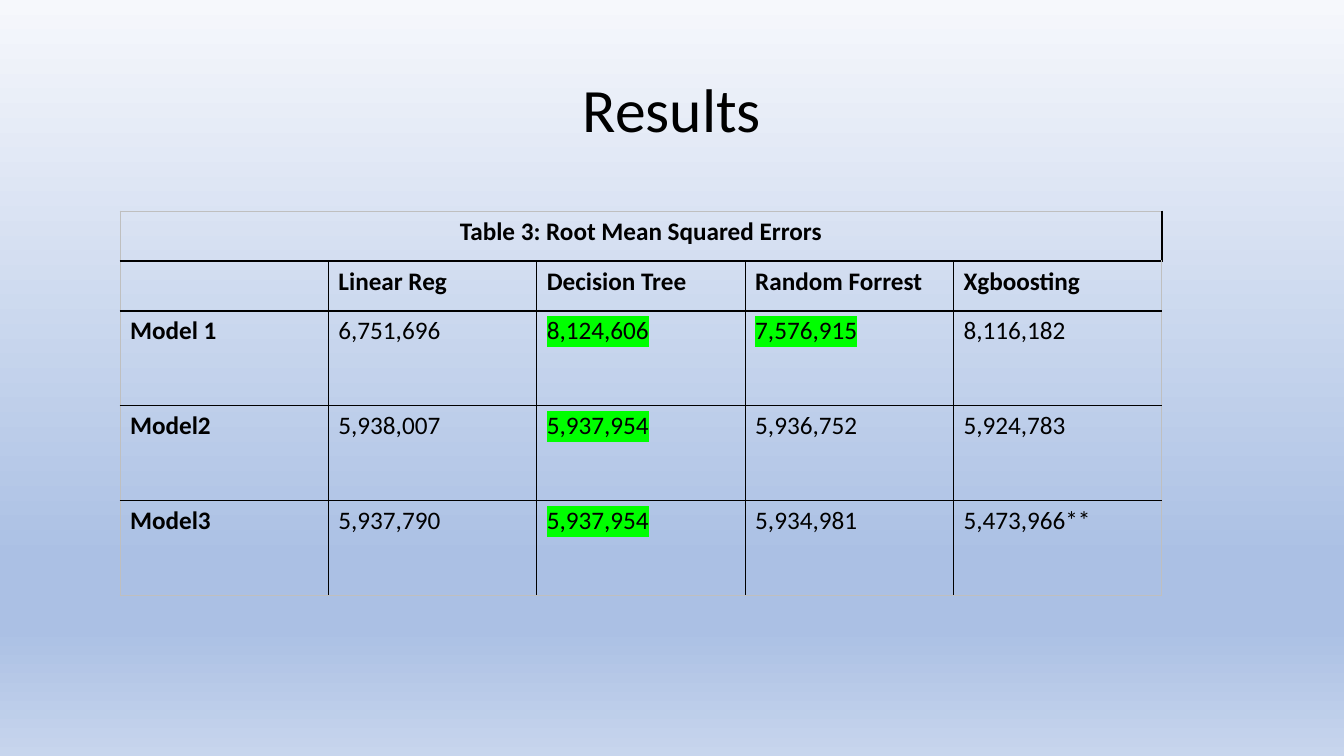
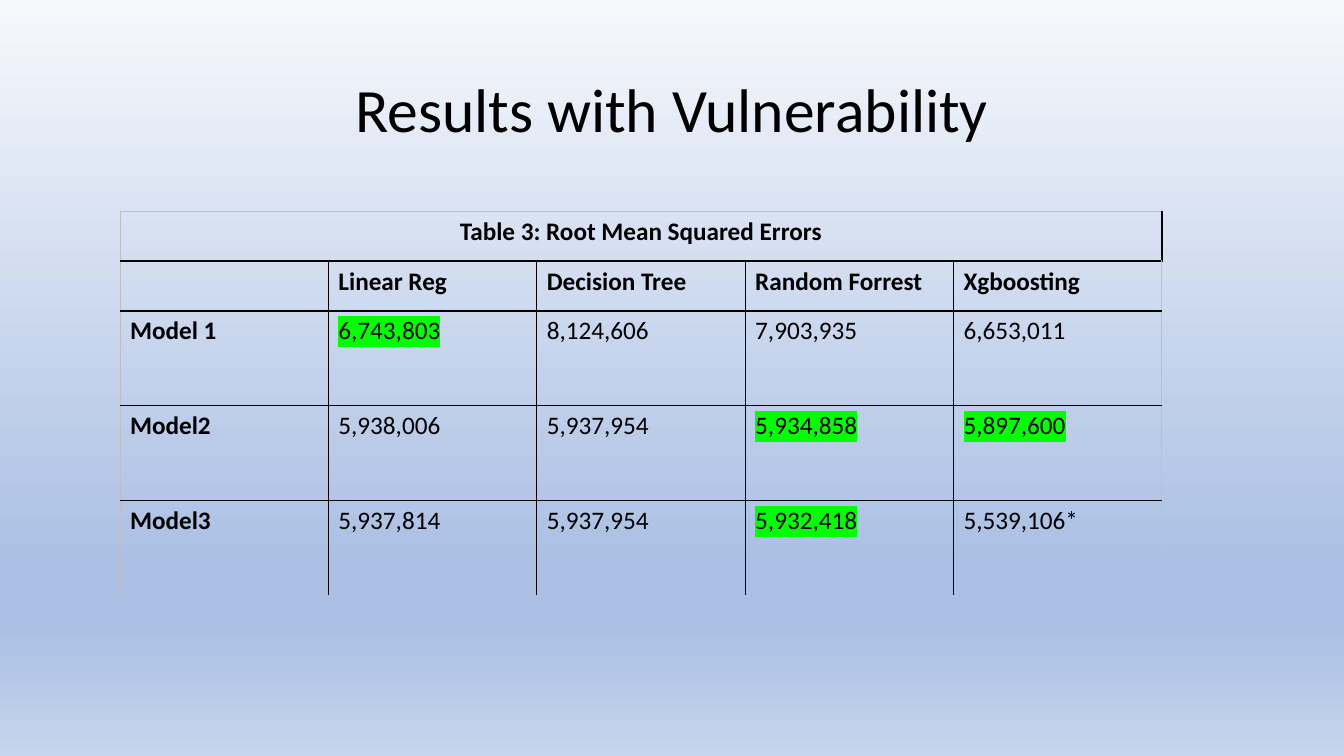
"""Build two slides that compare model errors in highlighted tables."""
from dataclasses import dataclass

from lxml.etree import SubElement
from pptx import Presentation
from pptx.dml.color import RGBColor as RGB
from pptx.enum.text import MSO_ANCHOR as Anchor, PP_ALIGN as Align
from pptx.oxml.ns import qn
from pptx.util import Emu, Pt

SLIDE_W, SLIDE_H = 1344, 756
EMU_PER_PX = 12192000 / SLIDE_W


@dataclass(frozen=True)
class Theme:
    """Colours, type sizes and line widths of the deck."""
    font: str = "Calibri"
    title_size: int = 44
    table_size: int = 18
    text: str = "000000"
    highlight: str = "00FF00"
    grid: str = "000000"
    frame: str = "BFBFBF"
    grid_pt: float = 1
    frame_pt: float = 0.75
    stops: tuple[tuple[int, str], ...] = (
        (0, "F6F8FC"), (74, "ABC0E4"), (83, "ABC0E4"), (100, "C7D5ED"))


@dataclass(frozen=True)
class Box:
    """A rectangle in px."""
    x: int
    y: int
    w: int
    h: int

    def emu(self) -> tuple[Emu, ...]:
        """Return left, top, width and height in EMU."""
        return tuple(px(n) for n in (self.x, self.y, self.w, self.h))


@dataclass(frozen=True)
class Model:
    """A table row: its name, its errors and the highlighted columns."""
    name: str
    errors: tuple[str, ...]
    marked: tuple[int, ...] = ()


@dataclass(frozen=True)
class Result:
    """A slide title with its models."""
    title: str
    models: tuple[Model, ...]


THEME = Theme()
TITLE_BOX = Box(92, 40, 1160, 146)
HEAD_H, MODEL_H = 50, 95
CAPTION = "Table 3: Root Mean Squared Errors"
HEADERS = ("", "Linear Reg", "Decision Tree", "Random Forrest", "Xgboosting")
RESULTS = (
    Result("Results", (
        Model("Model 1", ("6,751,696", "8,124,606", "7,576,915", "8,116,182"), (2, 3)),
        Model("Model2", ("5,938,007", "5,937,954", "5,936,752", "5,924,783"), (2,)),
        Model("Model3", ("5,937,790", "5,937,954", "5,934,981", "5,473,966**"), (2,)),
    )),
    Result("Results with Vulnerability", (
        Model("Model 1", ("6,743,803", "8,124,606", "7,903,935", "6,653,011"), (1,)),
        Model("Model2", ("5,938,006", "5,937,954", "5,934,858", "5,897,600"), (3, 4)),
        Model("Model3", ("5,937,814", "5,937,954", "5,932,418", "5,539,106*"), (3,)),
    )),
)


def px(n: int) -> Emu:
    """Turn px into EMU."""
    return Emu(round(n * EMU_PER_PX))


def add_color(parent, color: str) -> None:
    """Append an RGB colour element."""
    SubElement(parent, qn("a:srgbClr"), val=color)


def set_background(master) -> None:
    """Give the master a vertical gradient."""
    fill = master.background.fill
    fill.gradient()
    fill.gradient_angle = 270
    stops = next(master.element.iter(qn("a:gsLst")))
    for old in list(stops):
        stops.remove(old)
    for pos, color in THEME.stops:
        add_color(SubElement(stops, qn("a:gs"), pos=str(pos * 1000)), color)


def add_run(p, text: str, size: int, bold: bool = False, marked: bool = False) -> None:
    """Add a styled run to a paragraph."""
    r = p.add_run()
    r.text = text
    r.font.size = Pt(size)
    r.font.bold = bold
    r.font.color.rgb = RGB.from_string(THEME.text)
    if marked:
        add_color(SubElement(r.font.fill._xPr, qn("a:highlight")), THEME.highlight)
    r.font.name = THEME.font


def add_title(s, text: str) -> None:
    """Add the centred slide title."""
    tf = s.shapes.add_textbox(*TITLE_BOX.emu()).text_frame
    tf.word_wrap = True
    tf.vertical_anchor = Anchor.MIDDLE
    p = tf.paragraphs[0]
    p.alignment = Align.CENTER
    p.line_spacing = 0.9
    add_run(p, text, THEME.title_size)


def set_borders(cell, outer: dict[str, bool]) -> None:
    """Draw the cell edges, pale where they frame the table."""
    tc_pr = cell._tc.get_or_add_tcPr()
    for side, is_outer in outer.items():
        width = THEME.frame_pt if is_outer else THEME.grid_pt
        ln = SubElement(tc_pr, qn(f"a:ln{side}"), w=str(Pt(width)))
        add_color(SubElement(ln, qn("a:solidFill")),
                  THEME.frame if is_outer else THEME.grid)


def add_error_table(s, models: tuple[Model, ...]) -> None:
    """Add the table of errors under its caption."""
    heights = (HEAD_H, HEAD_H) + (MODEL_H,) * len(models)
    n_rows, n_cols = len(heights), len(HEADERS)
    box = Box(120, 211, 1042, sum(heights))
    table = s.shapes.add_table(n_rows, n_cols, *box.emu()).table
    table.first_row = table.horz_banding = False
    for row, height in zip(table.rows, heights):
        row.height = px(height)
    for col in table.columns:
        col.width = Emu(px(box.w) // n_cols)

    for i in range(n_rows):
        for j in range(n_cols):
            cell = table.cell(i, j)
            set_borders(cell, {"L": j == 0, "R": j == n_cols - 1,
                               "T": i == 0, "B": i == n_rows - 1})
            cell.fill.background()

    caption = table.cell(0, 0)
    caption.merge(table.cell(0, n_cols - 1))
    p = caption.text_frame.paragraphs[0]
    p.alignment = Align.CENTER
    add_run(p, CAPTION, THEME.table_size, bold=True)

    for i, model in enumerate((Model("", HEADERS[1:]), *models), 1):
        for j, text in enumerate((model.name, *model.errors)):
            if text:
                add_run(table.cell(i, j).text_frame.paragraphs[0], text,
                        THEME.table_size, bold=i == 1 or j == 0,
                        marked=j in model.marked)


def main() -> None:
    """Build and save the deck."""
    prs = Presentation()
    prs.slide_width, prs.slide_height = px(SLIDE_W), px(SLIDE_H)
    set_background(prs.slide_master)
    for result in RESULTS:
        s = prs.slides.add_slide(prs.slide_layouts[6])
        add_title(s, result.title)
        add_error_table(s, result.models)
    prs.save("out.pptx")


if __name__ == "__main__":
    main()
